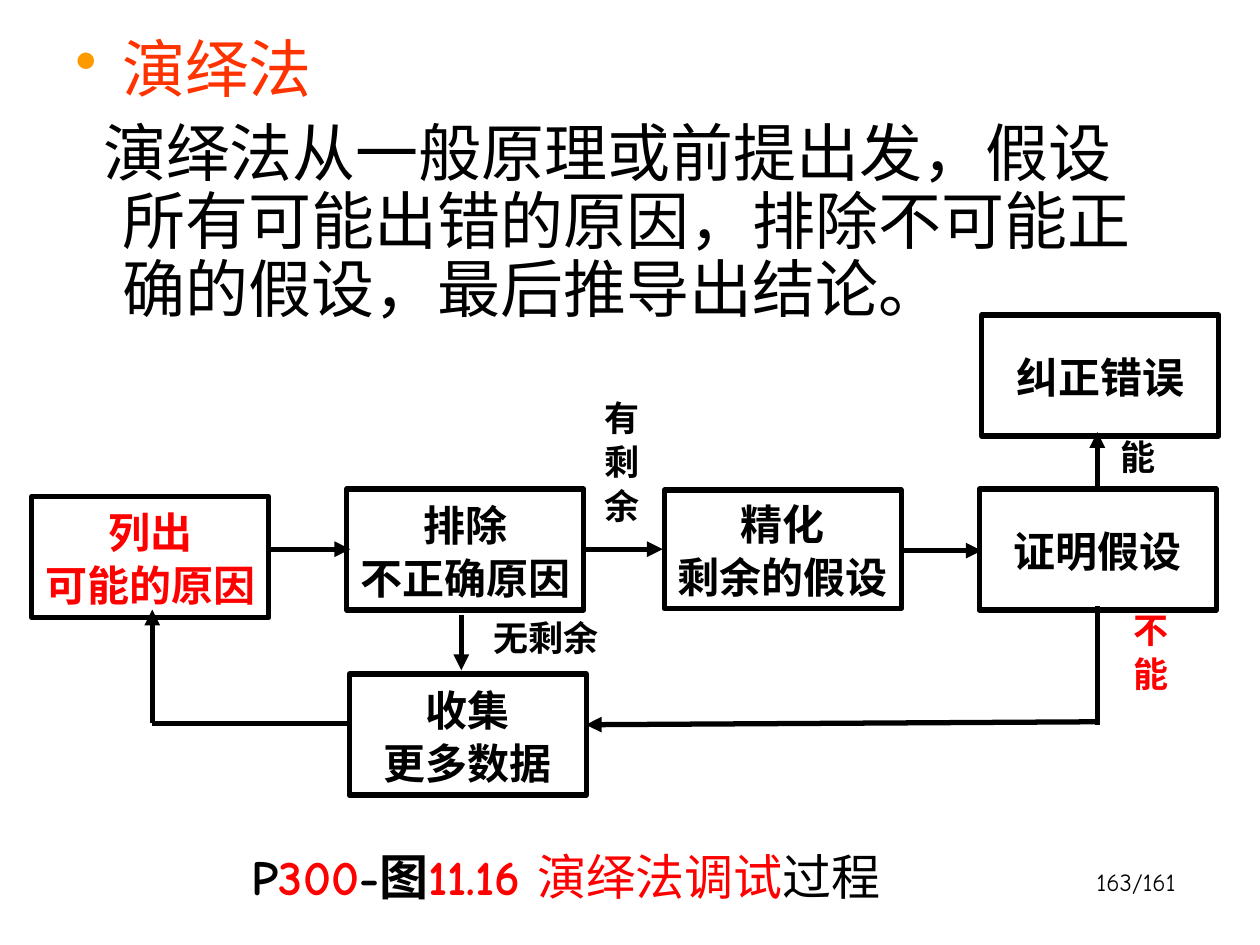
from typing import NamedTuple

import pptx
import pptx.dml.color
import pptx.enum.shapes
import pptx.enum.text
import pptx.oxml
import pptx.oxml.ns
import pptx.util
from pptx.dml.color import RGBColor
from pptx.util import Cm, Pt

BLACK = RGBColor(0x00, 0x00, 0x00)
RED = RGBColor(0xFF, 0x00, 0x00)
ORANGE_RED = RGBColor(0xFF, 0x33, 0x00)
BULLET_ORANGE = "FF9900"
COMIC, CJK, SERIF = "Comic Neue", "Noto Sans CJK SC", "Times New Roman"
ALIGN = pptx.enum.text.PP_ALIGN
AUTO_SIZE = pptx.enum.text.MSO_AUTO_SIZE
BOX_WIDTH, BOX_HEIGHT = 4.78, 2.44
LABEL_LINE = 1.14


class Step(NamedTuple):
    text: str
    left: float
    top: float
    height: float = BOX_HEIGHT
    color: RGBColor = BLACK


class Label(NamedTuple):
    text: str
    left: float
    top: float
    width: float
    height: float = LABEL_LINE
    color: RGBColor = BLACK


class Flow(NamedTuple):
    x1: float
    y1: float
    x2: float
    y2: float
    arrow: bool = True


class Piece(NamedTuple):
    text: str
    color: RGBColor
    font: str = COMIC
    bold: bool = True


STEPS = [
    Step("排除\n不正确原因", 6.99, 9.86),
    Step("列出\n可能的原因", 0.64, 10.01, color=RED),
    Step("精化\n剩余的假设", 13.39, 9.88, height=2.39),
    Step("证明假设", 19.74, 9.86),
    Step("收集\n更多数据", 7.04, 13.59),
    Step("纠正错误", 19.79, 6.35),
]
FLOWS = [
    Flow(5.41, 11.07, 7.06, 11.07),
    Flow(11.73, 11.07, 13.36, 11.07),
    Flow(18.14, 11.1, 19.79, 11.1),
    Flow(9.3, 12.4, 9.3, 13.51),
    Flow(22.12, 9.86, 22.12, 8.71),
    Flow(22.12, 12.22, 22.12, 14.61, arrow=False),
    Flow(22.12, 14.55, 11.81, 14.61),
    Flow(6.99, 14.58, 3.07, 14.58, arrow=False),
    Flow(3.07, 14.58, 3.07, 12.29),
]
LABELS = [
    Label("无剩余", 9.7, 12.27, 2.62),
    Label("能", 22.33, 8.61, 1.22),
    Label("有\n剩\n余", 11.94, 7.82, 1.22, height=2.92),
    Label("不能", 22.25, 12.55, 1.91, color=RED),
]
CAPTION = [
    Piece("P", BLACK),
    Piece("300", RED),
    Piece("-图", BLACK),
    Piece("11.16 ", RED),
    Piece("演绎法", RED, CJK, False),
    Piece("调试", RED, bold=False),
    Piece("过程", BLACK, bold=False),
]


def add_xml(parent, xml: str) -> None:
    tag, rest = xml.split(" ", 1) if " " in xml else (xml, "")
    namespace = pptx.oxml.ns.nsdecls("a")
    parent.append(pptx.oxml.parse_xml(f"<a:{tag} {namespace} {rest}/>"))


def style_run(run, size: float, font: str, color: RGBColor, bold: bool = False) -> None:
    run.font.size = Pt(size)
    run.font.bold = bold
    run.font.color.rgb = color
    run.font.name = font
    add_xml(run.font._element, f'ea typeface="{CJK}"')


def add_text_box(slide, left: float, top: float, width: float, height: float):
    frame = slide.shapes.add_textbox(Cm(left), Cm(top), Cm(width), Cm(height)).text_frame
    frame.word_wrap = True
    return frame


def indent(paragraph, margin: float, first: float) -> None:
    properties = paragraph._p.get_or_add_pPr()
    properties.set("marL", str(Cm(margin)))
    properties.set("indent", str(Cm(first)))


def fill_centred(frame, text: str, size: float, color: RGBColor) -> None:
    frame.text = text
    frame.word_wrap = False
    frame.vertical_anchor = pptx.enum.text.MSO_ANCHOR.MIDDLE
    for paragraph in frame.paragraphs:
        paragraph.alignment = ALIGN.CENTER
        paragraph.line_spacing = 1.05
        style_run(paragraph.runs[0], size, SERIF, color, bold=True)


def add_step(slide, step: Step) -> None:
    box = slide.shapes.add_shape(
        pptx.enum.shapes.MSO_SHAPE.RECTANGLE,
        Cm(step.left), Cm(step.top), Cm(BOX_WIDTH), Cm(step.height))
    box.shadow.inherit = False
    box.fill.background()
    box.line.color.rgb = BLACK
    box.line.width = Pt(3)
    fill_centred(box.text_frame, step.text, 24, step.color)


def add_flow(slide, flow: Flow) -> None:
    line = slide.shapes.add_connector(
        pptx.enum.shapes.MSO_CONNECTOR.STRAIGHT,
        Cm(flow.x1), Cm(flow.y1), Cm(flow.x2), Cm(flow.y2))
    line.line.color.rgb = BLACK
    line.line.width = Pt(3)
    if flow.arrow:
        add_xml(line.line._get_or_add_ln(), 'tailEnd type="triangle"')
    add_xml(line._element.spPr, "effectLst")


def add_label(slide, label: Label) -> None:
    frame = add_text_box(slide, label.left, label.top, label.width, label.height)
    fill_centred(frame, label.text, 20, label.color)
    frame.auto_size = AUTO_SIZE.SHAPE_TO_FIT_TEXT


def add_definition(slide) -> None:
    frame = add_text_box(slide, 1.27, 0.64, 22.58, 6.55)
    frame.text = ("演绎法\n演绎法从一般原理或前提出发，假设所有可能出错的原因，"
                  "排除不可能正确的假设，最后推导出结论。")
    term, meaning = frame.paragraphs
    indent(term, 0.96, -0.96)
    indent(meaning, 0.96, -0.4)
    bullet_color = pptx.oxml.parse_xml(
        f'<a:buClr {pptx.oxml.ns.nsdecls("a")}><a:srgbClr val="{BULLET_ORANGE}"/></a:buClr>')
    term._p.get_or_add_pPr().append(bullet_color)
    add_xml(term._p.pPr, 'buChar char="•"')
    term.line_spacing = meaning.line_spacing = 0.9
    meaning.space_before = Pt(9)
    style_run(term.runs[0], 36, COMIC, ORANGE_RED)
    style_run(meaning.runs[0], 36, CJK, BLACK)


def add_caption(slide) -> None:
    frame = add_text_box(slide, 3.81, 16.94, 17.58, 1.45)
    caption = frame.paragraphs[0]
    indent(caption, 1.02, 0)
    for piece in CAPTION:
        run = caption.add_run()
        run.text = piece.text
        style_run(run, 28, piece.font, piece.color, piece.bold)
    frame.auto_size = AUTO_SIZE.SHAPE_TO_FIT_TEXT


def add_page_number(slide) -> None:
    frame = add_text_box(slide, 18.67, 17.35, 5.28, 1.27)
    frame.text = "163/161"
    frame.paragraphs[0].alignment = ALIGN.RIGHT
    style_run(frame.paragraphs[0].runs[0], 14, COMIC, BLACK)


def main() -> None:
    deck = pptx.Presentation()
    deck.slide_width, deck.slide_height = Cm(25.4), Cm(19.05)
    slide = deck.slides.add_slide(deck.slide_layouts[6])
    # Page number and definition
    add_page_number(slide)
    add_definition(slide)
    # Flow chart
    for step in STEPS:
        add_step(slide, step)
    for flow in FLOWS:
        add_flow(slide, flow)
    for label in LABELS:
        add_label(slide, label)
    # Figure caption
    add_caption(slide)
    deck.save("out.pptx")


if __name__ == "__main__":
    main()
